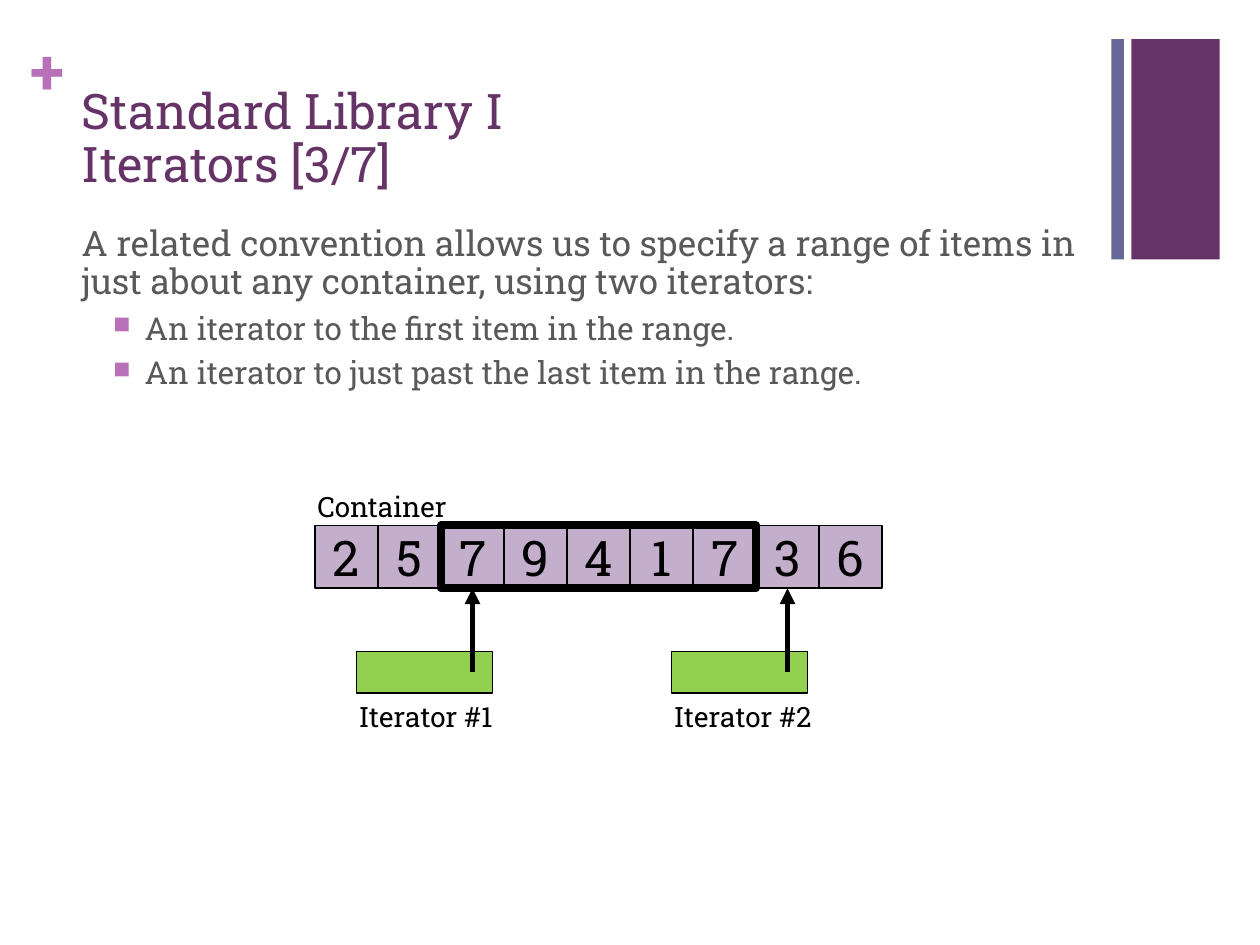
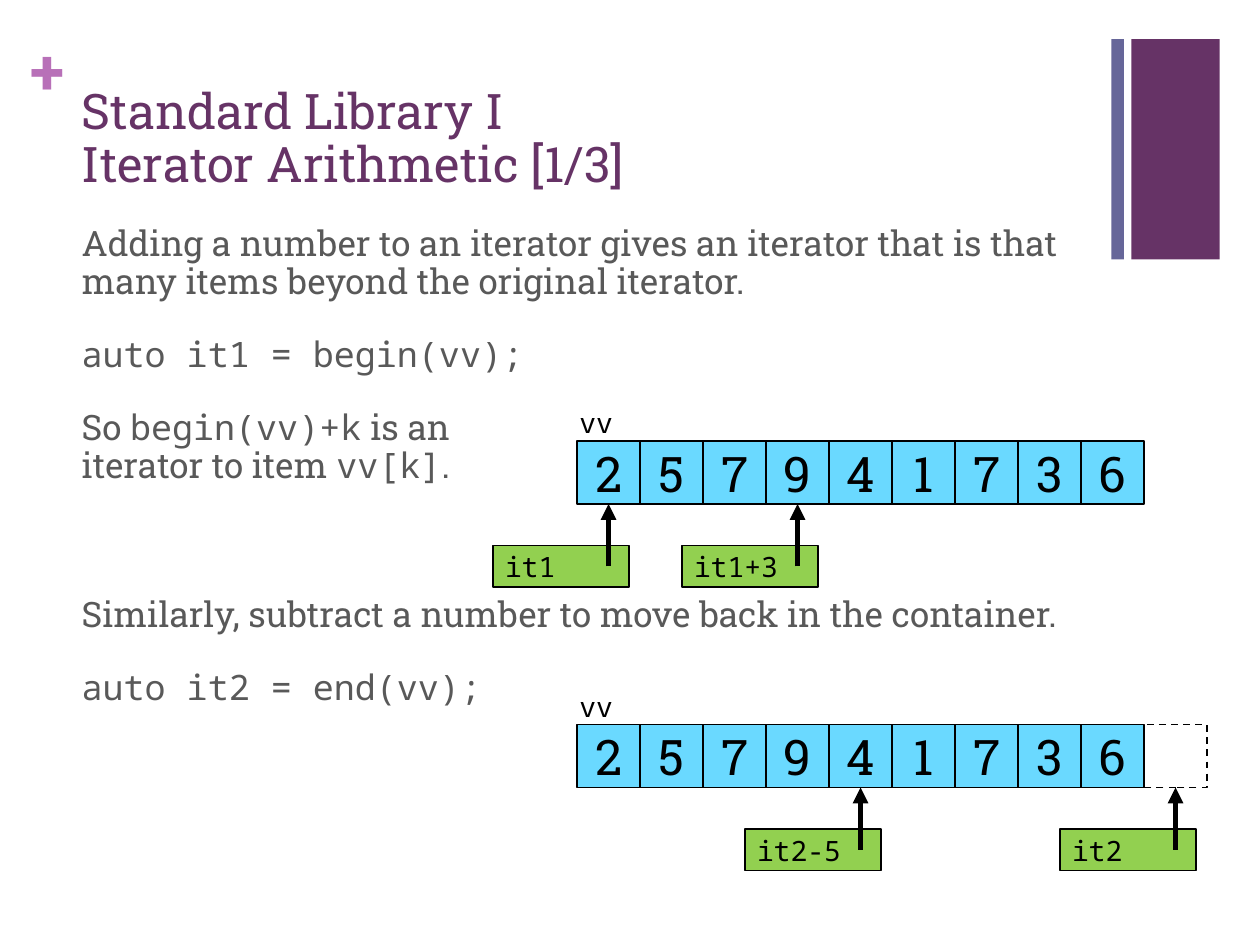
from lxml import etree
from pptx import Presentation
from pptx.dml.color import RGBColor
from pptx.enum.dml import MSO_LINE
from pptx.enum.shapes import MSO_CONNECTOR, MSO_SHAPE
from pptx.enum.text import MSO_ANCHOR as ANCHOR, MSO_AUTO_SIZE as AUTO_SIZE, PP_ALIGN as ALIGN
from pptx.oxml.ns import qn
from pptx.util import Inches, Pt

COLORS = {
    "title": "663366", "stripe": "666699", "accent": "B870B8", "body": "595959",
    "black": "000000", "lilac": "C3AFCC", "sky": "6AD9FF", "green": "92D050",
}
SERIF, MONO = "Roboto Slab", "Noto Sans Mono"
CELL = 0.5
POINTER_WIDTH, POINTER_HEIGHT = 1.08, 0.33
VALUES = "257941736"


def color(name):
    return RGBColor.from_string(COLORS[name])


class Deck:
    def __init__(self):
        self.presentation = Presentation()
        self.presentation.slide_width = Inches(10)
        self.presentation.slide_height = Inches(7.5)
        self.slide = None

    def new_slide(self, title):
        """Start a slide with the shared corner band, plus sign and title."""
        self.slide = self.presentation.slides.add_slide(self.presentation.slide_layouts[5])
        self.box(8.98, 0.31, 0.7, 1.75, fill="title")
        self.box(8.82, 0.31, 0.1, 1.75, fill="stripe")
        plus = self.text(0.24, 0.25, 0.29, 0.61, "+", 36, "accent", bold=True)
        plus.margin_left = plus.margin_right = plus.margin_top = plus.margin_bottom = 0

        shape = self.slide.shapes.title
        shape.left, shape.top = Inches(0.55), Inches(0.53)
        shape.width, shape.height = Inches(8.26), Inches(1.05)
        frame = shape.text_frame
        frame.text = title
        frame.auto_size = AUTO_SIZE.NONE
        frame.vertical_anchor = ANCHOR.BOTTOM
        paragraph = frame.paragraphs[0]
        paragraph.alignment = ALIGN.LEFT
        paragraph.line_spacing = 0.9
        self.style(paragraph, 28, "title")

    def style(self, paragraph, size, color_name, font=SERIF, bold=False):
        for run in paragraph.runs:
            run.font.name = font
            run.font.size = Pt(size)
            run.font.bold = bold
            run.font.color.rgb = color(color_name)

    def text(self, left, top, width, height, text, size=16, color_name="black",
             font=SERIF, bold=False):
        shape = self.slide.shapes.add_textbox(
            Inches(left), Inches(top), Inches(width), Inches(height))
        frame = shape.text_frame
        frame.word_wrap = True
        frame.text = text
        self.style(frame.paragraphs[0], size, color_name, font, bold)
        return frame

    def body(self, items):
        """Write (kind, text, space before) items; backticks mark code."""
        frame = self.text(0.55, 1.75, 8.26, 5.17, "")
        for index, (kind, text, space) in enumerate(items):
            paragraph = frame.add_paragraph() if index else frame.paragraphs[0]
            paragraph.line_spacing = 0.9
            paragraph.space_before = Pt(space)
            for line_number, line in enumerate(text.split("\n")):
                if line_number:
                    paragraph.add_line_break()
                for part, piece in enumerate(line.split("`")):
                    if piece:
                        run = paragraph.add_run()
                        run.text = piece
                        run.font.name = MONO if part % 2 else SERIF
                        run.font.size = Pt(18 if kind == "bullet" else 20)
                        run.font.color.rgb = color("body")
            if kind == "bullet":
                self.bullet(paragraph)

    def bullet(self, paragraph):
        paragraph.level = 1
        properties = paragraph._p.get_or_add_pPr()
        properties.set("marL", str(Inches(0.5)))
        properties.set("indent", str(-Inches(0.25)))
        bullet_color = etree.SubElement(properties, qn("a:buClr"))
        etree.SubElement(bullet_color, qn("a:srgbClr"), val=COLORS["accent"])
        etree.SubElement(properties, qn("a:buSzPct"), val="75000")
        etree.SubElement(properties, qn("a:buChar"), char="■")

    def box(self, left, top, width, height, fill=None, line=None, dashed=False,
            text="", size=28, font=SERIF, align=ALIGN.CENTER):
        shape = self.slide.shapes.add_shape(
            MSO_SHAPE.RECTANGLE, Inches(left), Inches(top), Inches(width), Inches(height))
        shape.shadow.inherit = False
        if fill:
            shape.fill.solid()
            shape.fill.fore_color.rgb = color(fill)
        else:
            shape.fill.background()
        if line:
            shape.line.color.rgb = color("black")
            shape.line.width = Pt(line)
            if dashed:
                shape.line.dash_style = MSO_LINE.DASH
        else:
            shape.line.fill.background()
        if text:
            frame = shape.text_frame
            frame.text = text
            frame.vertical_anchor = ANCHOR.MIDDLE
            frame.paragraphs[0].alignment = align
            self.style(frame.paragraphs[0], size, "black", font)

    def arrow(self, x, start, end):
        connector = self.slide.shapes.add_connector(
            MSO_CONNECTOR.STRAIGHT, Inches(x), Inches(start), Inches(x), Inches(end))
        connector.line.color.rgb = color("black")
        connector.line.width = Pt(3)
        etree.SubElement(connector.line._get_or_add_ln(), qn("a:tailEnd"), type="triangle")
        etree.SubElement(connector._element.spPr, qn("a:effectLst"))

    def container(self, left, top, label, fill, font):
        """Draw a labelled row of value cells."""
        for index, value in enumerate(VALUES):
            self.box(left + index * CELL, top, CELL, CELL, fill, line=1, text=value)
        self.text(left - 0.08, top - 0.33, 2.5, 0.37, label, font=font)

    def iterator(self, left, top, index, gap, name="", caption=""):
        """Draw an iterator box pointing up at one cell of a container."""
        x = left + (index + 0.5) * CELL
        bottom = top + CELL
        box_left, box_top = x - 0.92, bottom + gap
        self.box(box_left, box_top, POINTER_WIDTH, POINTER_HEIGHT, "green", line=1,
                 text=name, size=16, font=MONO, align=ALIGN.LEFT)
        self.arrow(x, box_top + POINTER_HEIGHT / 2, bottom)
        if caption:
            self.text(box_left - 0.08, box_top + POINTER_HEIGHT, 1.5, 0.37, caption)


deck = Deck()

# Slide 1: a range given by two iterators
deck.new_slide("Standard Library I\vIterators [3/7]")
deck.body([
    ("plain", "A related convention allows us to specify a range of items in "
              "just about any container, using two iterators:", 20),
    ("bullet", "An iterator to the first item in the range.", 6),
    ("bullet", "An iterator to just past the last item in the range.", 6),
])
left, top = 2.5, 4.17
first, past_last = 2, 7
deck.container(left, top, "Container", "lilac", SERIF)
deck.box(left + first * CELL, top, (past_last - first) * CELL, CELL, line=4.5)
deck.iterator(left, top, first, 0.5, caption="Iterator #1")
deck.iterator(left, top, past_last, 0.5, caption="Iterator #2")

# Slide 2: iterator arithmetic
deck.new_slide("Standard Library I\vIterator Arithmetic [1/3]")
deck.body([
    ("plain", "Adding a number to an iterator gives an iterator that is that "
              "many items beyond the original iterator.", 20),
    ("plain", "`auto it1 = begin(vv);`", 20),
    ("plain", "So `begin(vv)+k` is an\niterator to item `vv[k]`.", 20),
    ("plain", "Similarly, subtract a number to move back in the container.", 64),
    ("plain", "`auto it2 = end(vv);`", 20),
])
left = 4.58
for top, pointers in [(3.5, {"it1": 0, "it1+3": 3}), (5.75, {"it2-5": 4, "it2": 9})]:
    deck.container(left, top, "vv", "sky", MONO)
    for name, index in pointers.items():
        deck.iterator(left, top, index, 0.33, name)
# The place just past the end of the lower container
deck.box(left + len(VALUES) * CELL, top, CELL, CELL, line=1, dashed=True)

deck.presentation.save("out.pptx")
